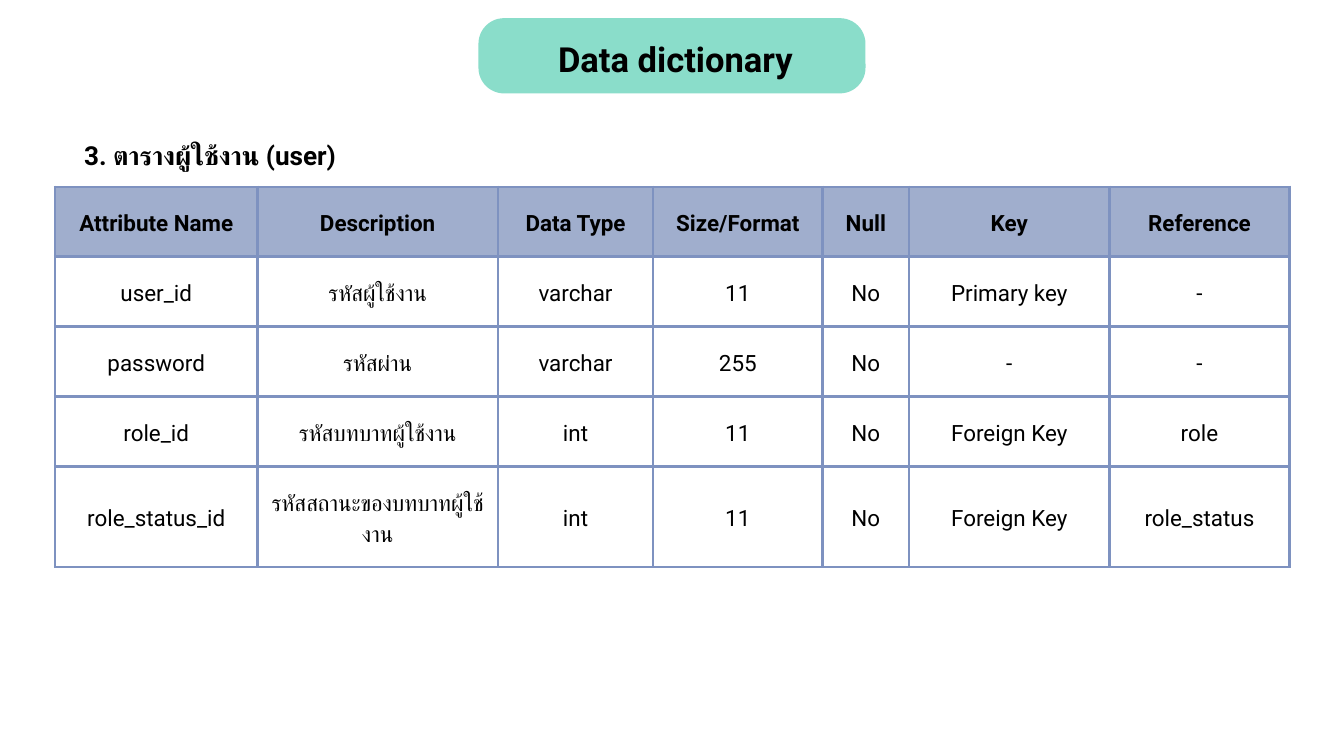
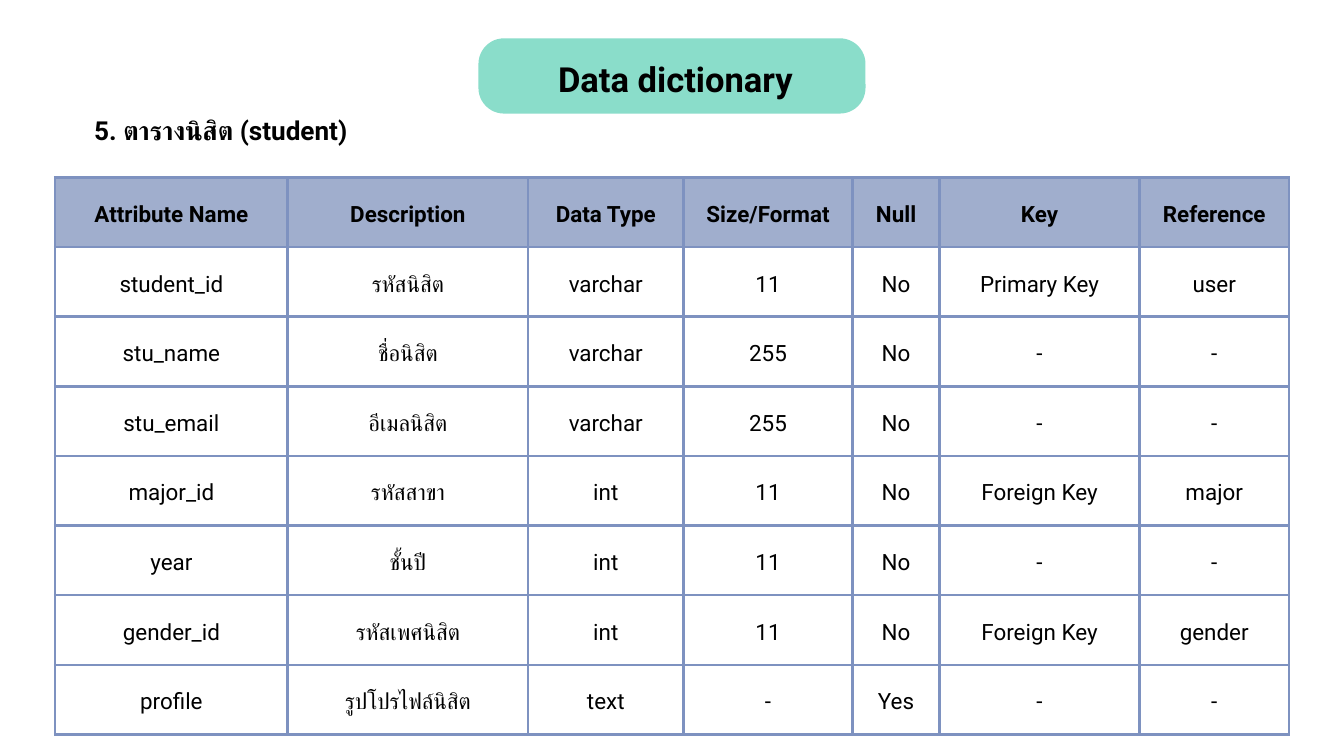
"""Build the two data dictionary slides for the user and student tables."""
from dataclasses import dataclass

from lxml.etree import SubElement
from pptx import Presentation
from pptx.dml.color import RGBColor
from pptx.enum.shapes import MSO_SHAPE as Shape
from pptx.enum.text import MSO_ANCHOR as Anchor, MSO_AUTO_SIZE as AutoSize, PP_ALIGN as Align
from pptx.oxml import parse_xml
from pptx.oxml.ns import nsdecls, qn
from pptx.util import Inches, Pt

FONT = "Roboto"
BLACK, MINT, HEADER_BLUE, GRID_BLUE = "000000", "8ADDCA", "A0AECD", "7E92C0"
TITLE = "Data dictionary"
TITLE_ONLY_LAYOUT = 5
GRID_LEFT, GRID_WIDTH = 0.82, 18.36
MIDDLE_COLUMNS = (3.58, 2.31, 2.52, 1.29, 2.98)
ROW_HEIGHT = 1.04
CELL_MARGIN = Inches(0.21)
HEADINGS = ("Attribute Name", "Description", "Data Type", "Size/Format",
            "Null", "Key", "Reference")


@dataclass(frozen=True)
class Caption:
    text: str
    left: float
    top: float
    width: float


@dataclass(frozen=True)
class Dictionary:
    banner_top: float
    caption: Caption
    grid_top: float
    grid_height: float
    name_width: float
    reference_width: float
    rows: tuple[tuple[str, ...], ...]


USER = Dictionary(
    0.27, Caption("3. ตารางผู้ใช้งาน (user)", 1.12, 1.99, 4.01), 2.78, 5.66, 3.01, 2.68,
    (
        ("user_id", "รหัสผู้ใช้งาน", "varchar", "11", "No", "Primary key", "-"),
        ("password", "รหัสผ่าน", "varchar", "255", "No", "-", "-"),
        ("role_id", "รหัสบทบาทผู้ใช้งาน", "int", "11", "No", "Foreign Key", "role"),
        ("role_status_id", "รหัสสถานะของบทบาทผู้ใช้งาน", "int", "11", "No",
         "Foreign Key", "role_status"),
    ),
)
STUDENT = Dictionary(
    0.57, Caption("5. ตารางนิสิต (student)", 1.22, 1.62, 4.13), 2.64, 8.29, 3.46, 2.22,
    (
        ("student_id", "รหัสนิสิต", "varchar", "11", "No", "Primary Key", "user"),
        ("stu_name", "ชื่อนิสิต", "varchar", "255", "No", "-", "-"),
        ("stu_email", "อีเมลนิสิต", "varchar", "255", "No", "-", "-"),
        ("major_id", "รหัสสาขา", "int", "11", "No", "Foreign Key", "major"),
        ("year", "ชั้นปี", "int", "11", "No", "-", "-"),
        ("gender_id", "รหัสเพศนิสิต", "int", "11", "No", "Foreign Key", "gender"),
        ("profile", "รูปโปรไฟล์นิสิต", "text", "-", "Yes", "-", "-"),
    ),
)


def colour(value: str) -> RGBColor:
    return RGBColor.from_string(value)


def write(frame, text: str, *, size: float, bold: bool = True) -> None:
    para = frame.paragraphs[0]
    para.alignment = Align.CENTER
    para.line_spacing = Pt(round(size * 1.4, 1))
    span = para.add_run()
    span.text = text
    span.font.name = FONT
    span.font.size = Pt(size)
    span.font.bold = bold
    span.font.color.rgb = colour(BLACK)
    for script in ("a:ea", "a:cs"):
        SubElement(span.font._element, qn(script), typeface=FONT)


def place(box, left: float, top: float, width: float, height: float) -> None:
    box.left, box.top = Inches(left), Inches(top)
    box.width, box.height = Inches(width), Inches(height)
    frame = box.text_frame
    frame.margin_left = frame.margin_right = frame.margin_top = frame.margin_bottom = 0
    frame.word_wrap = True
    frame.auto_size = AutoSize.NONE
    frame.vertical_anchor = Anchor.TOP


def add_banner(page, top: float) -> None:
    banner = page.shapes.add_shape(
        Shape.ROUNDED_RECTANGLE, Inches(7.12), Inches(top), Inches(5.76), Inches(1.12))
    banner.adjustments[0] = 0.34
    banner.shadow.inherit = False
    banner.fill.solid()
    banner.fill.fore_color.rgb = colour(MINT)
    banner.line.fill.background()
    title = page.shapes.title
    place(title, 8.03, top + 0.19, 4.04, 0.67)
    write(title.text_frame, TITLE, size=37)
    banner._element.addnext(title._element)


def add_caption(page, caption: Caption) -> None:
    box = page.shapes.add_textbox(0, 0, 0, 0)
    place(box, caption.left, caption.top, caption.width, 0.53)
    write(box.text_frame, caption.text, size=28)


def draw_borders(cell) -> None:
    properties = cell._tc.get_or_add_tcPr()
    for index, side in enumerate(("lnL", "lnR", "lnT", "lnB")):
        properties.insert(index, parse_xml(
            f'<a:{side} {nsdecls("a")} w="{Pt(3)}"><a:solidFill>'
            f'<a:srgbClr val="{GRID_BLUE}"/></a:solidFill></a:{side}>'))


def fill_cell(cell, text: str, is_heading: bool) -> None:
    cell.margin_left = cell.margin_right = CELL_MARGIN
    cell.margin_top = cell.margin_bottom = CELL_MARGIN
    cell.vertical_anchor = Anchor.MIDDLE
    if is_heading:
        cell.fill.solid()
        cell.fill.fore_color.rgb = colour(HEADER_BLUE)
    else:
        cell.fill.background()
    draw_borders(cell)
    write(cell.text_frame, text, size=24, bold=is_heading)


def add_grid(page, entry: Dictionary) -> None:
    rows = (HEADINGS, *entry.rows)
    table = page.shapes.add_table(
        len(rows), len(HEADINGS), Inches(GRID_LEFT), Inches(entry.grid_top),
        Inches(GRID_WIDTH), Inches(entry.grid_height)).table
    table.first_row = table.horz_banding = False
    widths = (entry.name_width, *MIDDLE_COLUMNS, entry.reference_width)
    for column, width in zip(table.columns, widths):
        column.width = Inches(width)
    row_height = min(ROW_HEIGHT, entry.grid_height / len(rows))
    for row in table.rows:
        row.height = Inches(row_height)
    table.rows[len(rows) - 1].height = Inches(entry.grid_height - row_height * (len(rows) - 1))
    for row_index, values in enumerate(rows):
        for column_index, text in enumerate(values):
            fill_cell(table.cell(row_index, column_index), text, row_index == 0)


def main() -> None:
    deck = Presentation()
    deck.slide_width, deck.slide_height = Inches(20), Inches(11.25)
    for entry in (USER, STUDENT):
        page = deck.slides.add_slide(deck.slide_layouts[TITLE_ONLY_LAYOUT])
        add_banner(page, entry.banner_top)
        add_grid(page, entry)
        add_caption(page, entry.caption)
    deck.save("out.pptx")


if __name__ == "__main__":
    main()
